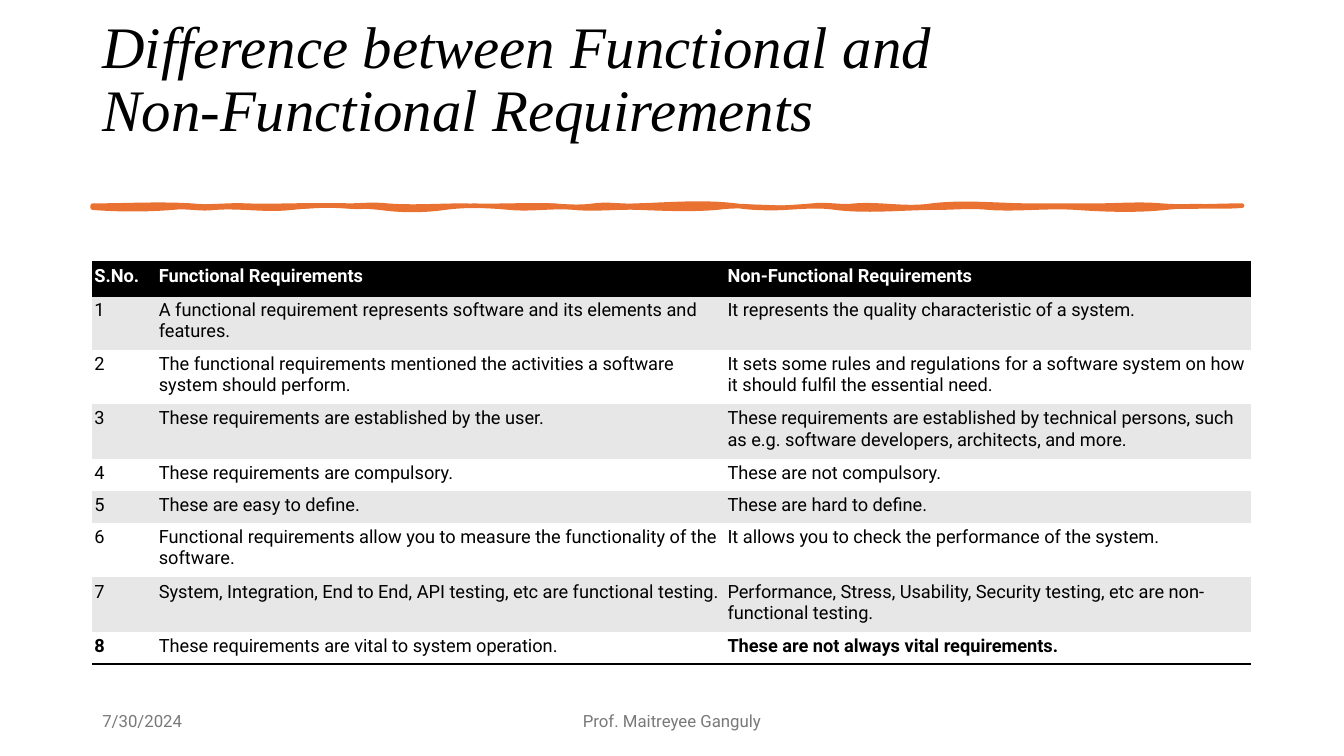
from lxml import etree
from pptx import Presentation
from pptx.dml.color import RGBColor
from pptx.enum.text import MSO_ANCHOR as ANCHOR, PP_ALIGN as ALIGN
from pptx.oxml.ns import qn
from pptx.util import Inches, Pt

COLORS = {"ink": "000000", "paper": "FFFFFF", "band": "E7E7E7",
          "accent": "E97132", "footer": "797979"}
NO_GRID_STYLE = "{2D5ABB26-0587-4C30-8999-92F81FD0307C}"
COLS, ROWS = 160, 90  # square grid cells over the slide
LEFT, WIDTH = 11, 138

HEADER = ("S.No.", "Functional Requirements", "Non-Functional Requirements")
DIFFERENCES = [
    ("A functional requirement represents software and its elements and features.",
     "It represents the quality characteristic of a system."),
    ("The functional requirements mentioned the activities a software system should perform.",
     "It sets some rules and regulations for a software system on how it should fulfil the essential need."),
    ("These requirements are established by the user.",
     "These requirements are established by technical persons, such as e.g. software developers, architects, and more."),
    ("These requirements are compulsory.", "These are not compulsory."),
    ("These are easy to define.", "These are hard to define."),
    ("Functional requirements allow you to measure the functionality of the software.",
     "It allows you to check the performance of the system."),
    ("System, Integration, End to End, API testing, etc are functional testing.",
     "Performance, Stress, Usability, Security testing, etc are non-functional testing."),
    ("These requirements are vital to system operation.",
     "These are not always vital requirements."),
]
ROW_HEIGHTS = [0.33] + [0.54] * 3 + [0.32] * 2 + [0.54] * 2 + [0.32]
COL_WIDTHS = [0.64, 5.64, 5.21]

# Brush stroke edges: end x, then the bend near the start and near the end
LINE_TOP = [
    (1.9, 0, -.02), (2.44, .02, -.01), (3.31, .01, -.01), (3.84, .01, -.02),
    (4.6, .02, 0), (5.48, .01, -.01), (5.89, .01, .02), (6.31, -.02, .01),
    (7.3, -.01, -.04), (8.06, .04, .02), (8.48, -.02, .02), (9.24, -.02, .04),
    (10.23, -.04, 0), (10.87, 0, 0), (11.52, 0, -.02), (12.32, .02, 0)]
LINE_BOTTOM = [
    (11.56, 0, -.03), (10.68, .03, .02), (9.81, -.02, .02), (9.28, -.02, 0),
    (8.29, 0, .04), (7.53, -.04, .02), (7.11, -.02, -.02), (6.35, .02, .01),
    (5.7, -.01, .02), (5.06, -.02, .02), (4.41, -.02, -.03), (3.77, .03, .03),
    (2.89, -.03, -.03), (2.13, .03, -.02), (1.71, .02, -.02), (0.92, .02, .02)]
FILL_TOP = [
    (1.56, .02, 0), (1.98, 0, -.01), (2.97, .01, .02), (3.61, -.02, .03),
    (4.26, -.03, 0), (5.25, 0, .05), (5.78, -.05, 0), (6.77, 0, .01),
    (7.76, -.01, -.02), (8.52, .02, 0), (9.5, 0, .03), (10.15, -.03, 0),
    (10.8, 0, -.02), (11.67, .02, -.04), (12.32, .04, -.01)]
FILL_BOTTOM = [
    (11.44, -.03, -.04), (10.68, .04, .01), (10.26, -.01, -.01), (9.73, .01, -.02),
    (8.74, .02, 0), (7.98, 0, -.01), (7.45, .01, -.01), (6.69, .01, -.01),
    (6.27, .01, 0), (5.86, 0, .02), (5.1, -.02, .04), (4.56, -.04, -.02),
    (3.69, .02, -.04), (3.16, .04, -.02), (2.28, .02, .02), (1.87, .02, .01),
    (0.92, -.01, .02)]


def rgb(name):
    return RGBColor.from_string(COLORS[name])


def add_points(parent, tag, *points):
    node = etree.SubElement(parent, qn(f"a:{tag}"))
    for x, y in points:
        etree.SubElement(node, qn("a:pt"), x=str(Inches(x)), y=str(Inches(y)))


class Deck:
    def __init__(self):
        self.prs = Presentation()
        self.prs.slide_width, self.prs.slide_height = Inches(13.33), Inches(7.5)
        self.s = self.prs.slides.add_slide(self.prs.slide_layouts[5])

    def box(self, col, row, width, height):
        dx, dy = self.prs.slide_width / COLS, self.prs.slide_height / ROWS
        return [int(v) for v in (col * dx, row * dy, width * dx, height * dy)]

    def style(self, tf, size, color, font="Roboto", bold=False, italic=False):
        for p in tf.paragraphs:
            for r in p.runs:
                f = r.font
                f.name, f.size, f.bold, f.italic = font, Pt(size), bold, italic
                f.color.rgb = rgb(color)

    def title(self, text, *grid):
        sp = self.s.shapes.title
        sp.left, sp.top, sp.width, sp.height = self.box(*grid)
        tf = sp.text_frame
        tf.text = text
        tf.word_wrap, tf.vertical_anchor = True, ANCHOR.MIDDLE
        tf.margin_bottom = Inches(0.69)
        p = tf.paragraphs[0]
        p.alignment, p.line_spacing = ALIGN.LEFT, 0.9
        self.style(tf, 42, "ink", "Times New Roman", italic=True)

    def brush_stroke(self, left, top, width, height):
        fb = self.s.shapes.build_freeform(Inches(left), Inches(top))
        right, bottom = Inches(left + width), Inches(top + height)
        fb.add_line_segments([(right, Inches(top)), (right, bottom), (Inches(left), bottom)])
        sp = fb.convert_to_shape()
        # One curved outline for the line, one for the fill
        outlines = sp._element.spPr.find(".//" + qn("a:pathLst"))
        outlines.clear()
        for edges, off in (((LINE_TOP, LINE_BOTTOM), {"fill": "none"}),
                           ((FILL_TOP, FILL_BOTTOM), {"stroke": "0"})):
            outline = etree.SubElement(outlines, qn("a:path"), w=str(sp.width),
                                       h=str(sp.height), **off)
            add_points(outline, "moveTo", (0, 0))
            x = 0
            for y, edge in zip((0, height), edges):
                for end, bend1, bend2 in edge:
                    step = (end - left - x) / 3
                    add_points(outline, "cubicBezTo", (x + step, y + bend1),
                               (x + 2 * step, y + bend2), (end - left, y))
                    x = end - left
            etree.SubElement(outline, qn("a:close"))
        sp.shadow.inherit = False
        sp.fill.solid()
        sp.fill.fore_color.rgb = sp.line.color.rgb = rgb("accent")
        sp.line.width = Pt(3.25)
        etree.SubElement(sp.line._get_or_add_ln(), qn("a:round"))

    def footer(self, text, *grid, align=ALIGN.LEFT):
        tf = self.s.shapes.add_textbox(*self.box(*grid)).text_frame
        tf.text = text
        tf.word_wrap, tf.vertical_anchor = True, ANCHOR.MIDDLE
        tf.paragraphs[0].alignment = align
        tf.paragraphs[0].space_after = Pt(6)
        self.style(tf, 12, "footer")

    def border(self, cell, side):
        ln = etree.Element(qn(f"a:ln{side}"), w=str(Pt(2)))
        fill = etree.SubElement(ln, qn("a:solidFill"))
        etree.SubElement(fill, qn("a:srgbClr"), val=COLORS["ink"])
        cell._tc.get_or_add_tcPr().insert(0, ln)

    def table(self, rows, *grid):
        table = self.s.shapes.add_table(len(rows), len(rows[0]), *self.box(*grid)).table
        table.first_row = table.horz_banding = False
        table._tbl.tblPr.find(qn("a:tableStyleId")).text = NO_GRID_STYLE
        for column, width in zip(table.columns, COL_WIDTHS):
            column.width = Inches(width)
        last = len(rows) - 1
        for i, row in enumerate(rows):
            table.rows[i].height = Inches(ROW_HEIGHTS[i])
            for j, text in enumerate(row):
                cell = table.cell(i, j)
                cell.text = text
                cell.margin_left = cell.margin_right = Inches(0.02)
                cell.margin_top = cell.margin_bottom = Inches(0.04)
                cell.fill.solid()
                cell.fill.fore_color.rgb = rgb(
                    "ink" if i == 0 else "band" if i % 2 else "paper")
                bold = i == 0 or (i == last and j != 1)
                self.style(cell.text_frame, 13, "ink" if i else "paper", bold=bold)
                if i in (0, last):
                    self.border(cell, "B")
                if i == 0:
                    self.border(cell, "T")


def main():
    deck = Deck()
    deck.title("Difference between Functional and\vNon-Functional Requirements",
               LEFT, 4.8, WIDTH, 17.4)
    deck.brush_stroke(0.92, 2.04, 11.4, 0.02)

    # Footer
    deck.footer("7/30/2024", LEFT, 83.4, 36, 4.8)
    deck.footer("Prof. Maitreyee Ganguly", 53, 83.4, 54, 4.8, align=ALIGN.CENTER)

    # Numbered comparison
    rows = [HEADER] + [(str(n), *pair) for n, pair in enumerate(DIFFERENCES, 1)]
    deck.table(rows, LEFT, 31.2, WIDTH, 48)
    deck.prs.save("out.pptx")


if __name__ == "__main__":
    main()
